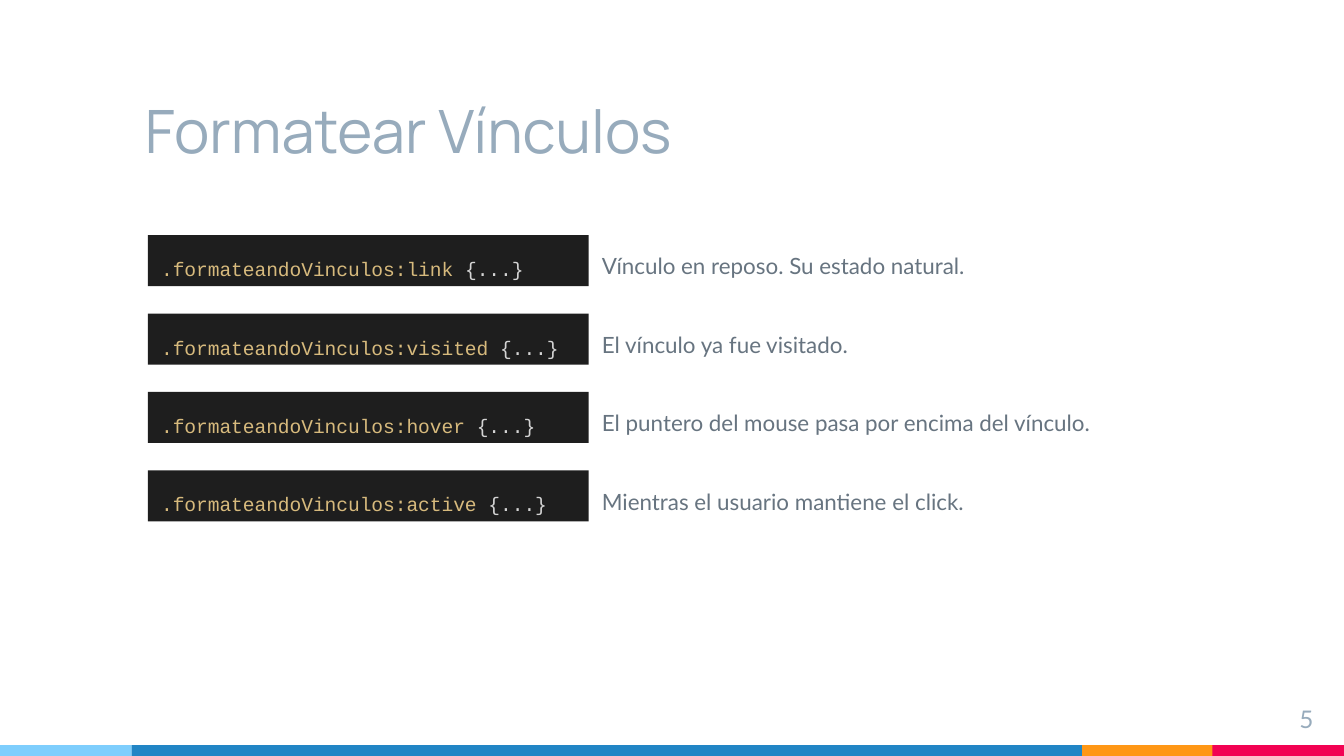
from pptx import Presentation
from pptx.dml.color import RGBColor
from pptx.enum.shapes import MSO_SHAPE
from pptx.enum.text import MSO_ANCHOR, MSO_AUTO_SIZE, PP_ALIGN
from pptx.util import Inches, Pt

SKY = RGBColor(0x7E, 0xCE, 0xFD)
BLUE = RGBColor(0x21, 0x85, 0xC5)
ORANGE = RGBColor(0xFF, 0x97, 0x15)
PINK = RGBColor(0xF2, 0x02, 0x53)
MIST = RGBColor(0x97, 0xAB, 0xBC)
SLATE = RGBColor(0x67, 0x74, 0x80)
DARK = RGBColor(0x1E, 0x1E, 0x1E)
GOLD = RGBColor(0xD7, 0xBA, 0x7D)
PALE = RGBColor(0xD4, 0xD4, 0xD4)

# Slide in 16:9
WIDE = 10
HIGH = WIDE * 9 / 16

# Footer bar: left, width, colour
BAR = 0.08
BARS = [
    (8.05, 0.98, ORANGE),
    (9.02, 0.98, PINK),
    (0, 0.98, SKY),
    (0.98, 7.07, BLUE),
]

# Link state, meaning, width of the meaning
STATES = [
    ("link", "Vínculo en reposo. Su estado natural.", 3.28),
    ("visited", "El vínculo ya fue visitado.", 3.28),
    ("hover", "El puntero del mouse pasa por encima del vínculo.", 4.12),
    ("active", "Mientras el usuario mantiene el click.", 4.12),
]
TOP, LAST = 1.75, 3.5
STEP = (LAST - TOP) / (len(STATES) - 1)


def style(run, font, size, color):
    run.font.name = font
    run.font.size = Pt(size)
    run.font.color.rgb = color


def set_frame(shape, anchor):
    frame = shape.text_frame
    frame.word_wrap = True
    frame.vertical_anchor = anchor
    frame.margin_left = frame.margin_right = Inches(0.1)
    frame.margin_top = frame.margin_bottom = Inches(0.1)
    return frame


def add_rect(slide, left, top, width, height, color):
    rect = slide.shapes.add_shape(
        MSO_SHAPE.RECTANGLE,
        Inches(left), Inches(top), Inches(width), Inches(height))
    rect.shadow.inherit = False
    rect.fill.solid()
    rect.fill.fore_color.rgb = color
    rect.line.fill.background()
    return rect


def add_text(slide, box, text, font, size, color, anchor=MSO_ANCHOR.TOP):
    shape = slide.shapes.add_textbox(*[Inches(v) for v in box])
    frame = set_frame(shape, anchor)
    frame.text = text
    para = frame.paragraphs[0]
    style(para.runs[0], font, size, color)
    return para


def add_code(slide, top, state):
    rect = add_rect(slide, 1.1, top, 3.28, 0.38, DARK)
    frame = set_frame(rect, MSO_ANCHOR.TOP)
    frame.auto_size = MSO_AUTO_SIZE.SHAPE_TO_FIT_TEXT
    para = frame.paragraphs[0]
    para.alignment = PP_ALIGN.LEFT
    para.line_spacing = 1.36
    parts = [(f".formateandoVinculos:{state}", GOLD), (" {...}", PALE)]
    for text, color in parts:
        run = para.add_run()
        run.text = text
        style(run, "Courier New", 10.5, color)


def add_note(slide, top, text, width):
    para = add_text(slide, (4.38, top, width, 0.46), text,
                    "Lato", 12, SLATE, MSO_ANCHOR.MIDDLE)
    para.space_before = Pt(6)
    para.space_after = Pt(10)


def main():
    deck = Presentation()
    deck.slide_width = Inches(WIDE)
    deck.slide_height = Inches(HIGH)
    slide = deck.slides.add_slide(deck.slide_layouts[6])

    # Footer bar
    for left, width, color in BARS:
        add_rect(slide, left, HIGH - BAR, width, BAR, color)

    # Title and page number
    add_text(slide, (0.98, 0.39, 7.07, 0.94), "Formatear Vínculos",
             "Manrope", 32, MIST, MSO_ANCHOR.BOTTOM)
    page = add_text(slide, (9.27, 5.14, 0.6, 0.34), "5", "Lato", 13, MIST)
    page.alignment = PP_ALIGN.RIGHT

    # One row per link state
    for row, (state, text, width) in enumerate(STATES):
        top = TOP + row * STEP
        add_note(slide, top, text, width)
        add_code(slide, top, state)

    deck.save("out.pptx")


if __name__ == "__main__":
    main()
